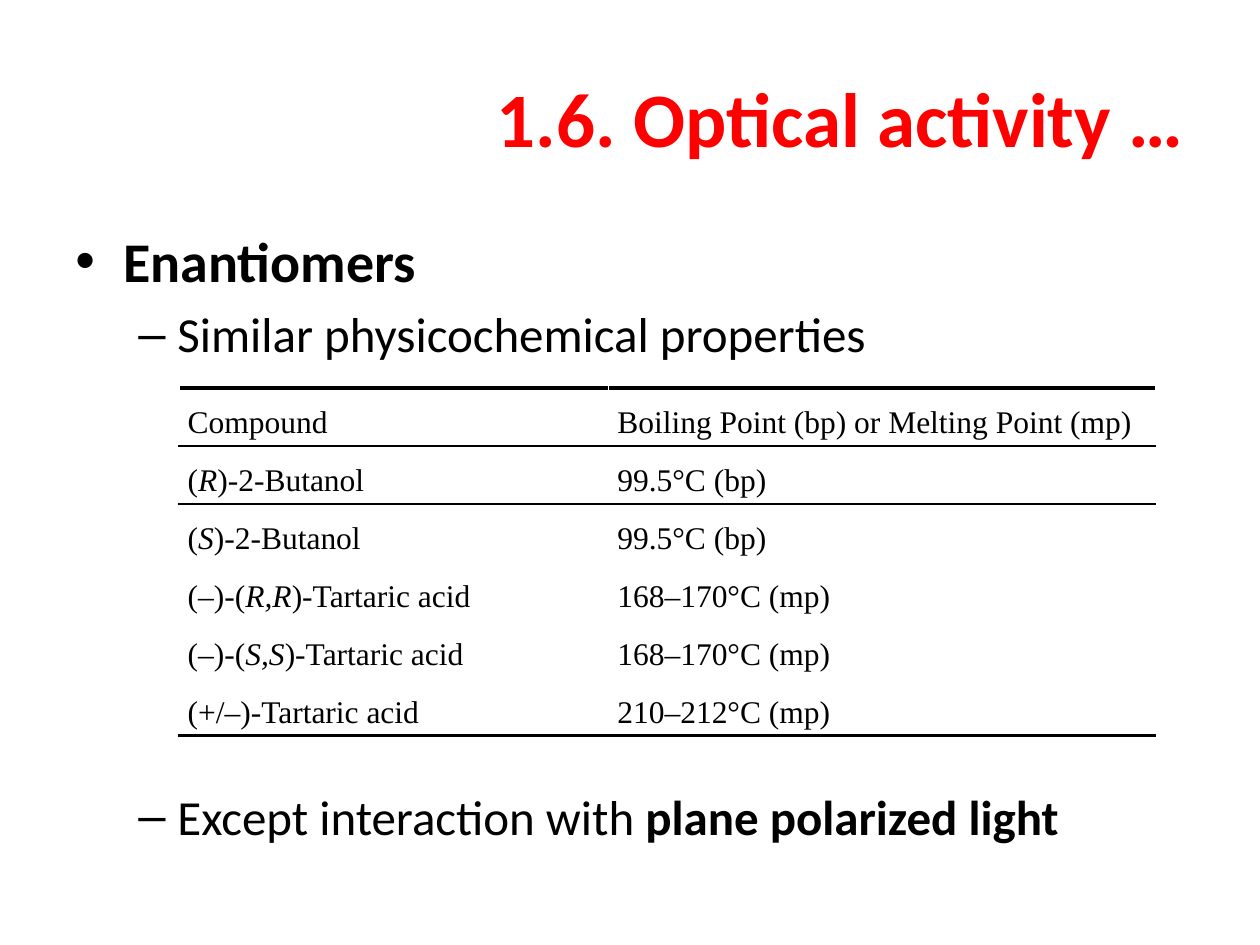
from lxml.etree import SubElement
from pptx import Presentation
from pptx.dml.color import RGBColor
from pptx.enum.text import MSO_ANCHOR as Anchor, PP_ALIGN as Align
from pptx.oxml import parse_xml
from pptx.oxml.ns import nsdecls, qn
from pptx.util import Inches, Pt

COLORS = {"title": "FF0000", "text": "000000"}
TITLE = "1.6. Optical activity …"

# Runs alternate between plain and emphasised text.
BULLETS = [
    {"runs": ["", "Enantiomers"], "mark": "•", "size": 32, "left": 0.38, "hang": 0.38, "before": 0},
    {"runs": ["Similar physicochemical properties"],
     "mark": "–", "size": 28, "left": 0.81, "hang": 0.31, "before": 5.6},
    {"runs": ["Except interaction with ", "plane polarized light"],
     "mark": "–", "size": 28, "left": 0.81, "hang": 0.31, "before": 242},
]
ROWS = [
    (["Compound"], ["Boiling Point (bp) or Melting Point (mp)"]),
    (["(", "R", ")-2-Butanol"], ["99.5°C (bp)"]),
    (["(", "S", ")-2-Butanol"], ["99.5°C (bp)"]),
    (["(‒)-(", "R,R", ")-Tartaric acid"], ["168–170°C (mp)"]),
    (["(‒)-(", "S,S", ")-Tartaric acid"], ["168–170°C (mp)"]),
    (["(+/‒)-Tartaric acid"], ["210–212°C (mp)"]),
]
COLUMN_WIDTHS = [3.41, 4.34]
ROW_HEIGHT = 0.46
RULES = {0: {"lnT": 2.25, "lnB": 1.5}, 1: {"lnT": 1.5}, len(ROWS) - 1: {"lnB": 2.25}}


def apply(target, formats):
    for name, value in formats.items():
        setattr(target, name, value)


def write(para, runs, emphasis, color, **formats):
    for index, text in enumerate(runs):
        if text:
            span = para.add_run()
            span.text = text
            apply(span.font, {**formats, emphasis: index % 2 == 1})
            span.font.color.rgb = RGBColor.from_string(COLORS[color])


def add_bullet(para, mark, left, hang):
    props = para._p.get_or_add_pPr()
    props.set("marL", str(Inches(left)))
    props.set("indent", str(-Inches(hang)))
    SubElement(props, qn("a:buFont"), typeface="Arial")
    SubElement(props, qn("a:buChar"), char=mark)


def add_rules(cell, rules):
    props = cell._tc.get_or_add_tcPr()
    for position, (side, width) in enumerate(rules.items()):
        props.insert(position, parse_xml(
            f'<a:{side} {nsdecls("a")} w="{Pt(width)}"><a:solidFill>'
            f'<a:srgbClr val="{COLORS["text"]}"/></a:solidFill></a:{side}>'))


def add_title(page):
    title = page.shapes.title
    apply(title, {"left": Inches(0.5), "top": Inches(0.3),
                  "width": Inches(9), "height": Inches(1.25)})
    title.text_frame.vertical_anchor = Anchor.MIDDLE
    para = title.text_frame.paragraphs[0]
    para.alignment = Align.RIGHT
    write(para, ["", TITLE], "bold", "title", name="Calibri", size=Pt(44))


def add_body(page):
    box = page.shapes.add_textbox(Inches(0.5), Inches(1.75), Inches(9), Inches(5.75))
    frame = box.text_frame
    frame.word_wrap = True
    for index, item in enumerate(BULLETS):
        para = frame.add_paragraph() if index else frame.paragraphs[0]
        add_bullet(para, item["mark"], item["left"], item["hang"])
        para.space_before = Pt(item["before"])
        write(para, item["runs"], "bold", "text", name="Calibri", size=Pt(item["size"]))


def add_compounds(page):
    table = page.shapes.add_table(
        len(ROWS), len(COLUMN_WIDTHS), Inches(1.42), Inches(3.08),
        Inches(sum(COLUMN_WIDTHS)), Inches(ROW_HEIGHT * len(ROWS))).table
    apply(table, {"first_row": False, "horz_banding": False})
    for column, width in zip(table.columns, COLUMN_WIDTHS):
        column.width = Inches(width)
    for index, values in enumerate(ROWS):
        table.rows[index].height = Inches(ROW_HEIGHT)
        for cell, runs in zip(table.rows[index].cells, values):
            apply(cell, {"margin_left": Inches(0.07), "margin_right": Inches(0.07),
                         "margin_top": 0, "margin_bottom": 0})
            cell.fill.background()
            add_rules(cell, RULES.get(index, {}))
            para = cell.text_frame.paragraphs[0]
            apply(para, {"alignment": Align.JUSTIFY, "line_spacing": 1.5})
            write(para, runs, "italic", "text", name="Times New Roman", size=Pt(18))


def main():
    """Build the slide on optical activity of enantiomers."""
    deck = Presentation()
    apply(deck, {"slide_width": Inches(10), "slide_height": Inches(7.5)})
    page = deck.slides.add_slide(deck.slide_layouts[5])
    add_title(page)
    add_body(page)
    add_compounds(page)
    deck.save("out.pptx")


if __name__ == "__main__":
    main()
